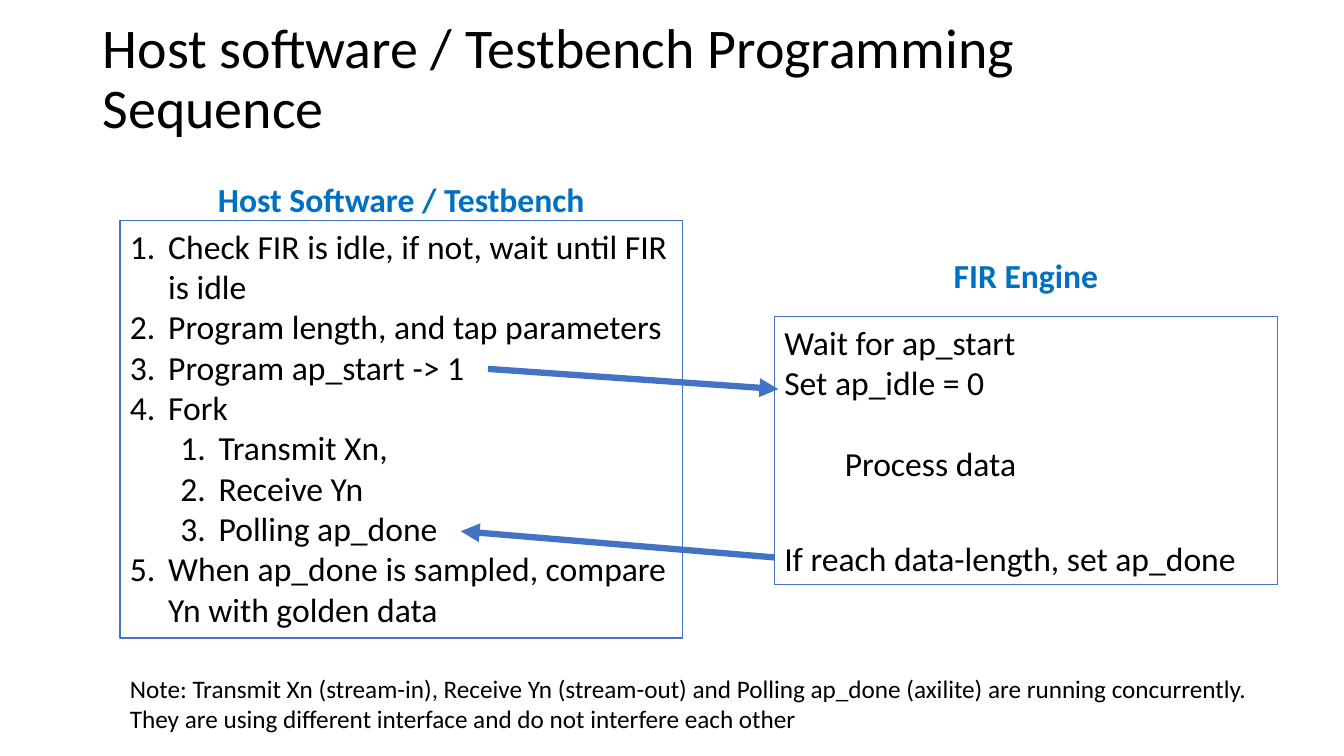
from dataclasses import dataclass

from lxml.etree import SubElement
from pptx import Presentation
from pptx.dml.color import RGBColor
from pptx.enum.shapes import MSO_CONNECTOR as Connector
from pptx.enum.shapes import MSO_SHAPE as Preset
from pptx.enum.text import MSO_ANCHOR as Anchor
from pptx.enum.text import PP_ALIGN as Align
from pptx.oxml.ns import qn
from pptx.util import Emu, Pt

PX = 9144
FONT = "Calibri"
BLACK = RGBColor(0x00, 0x00, 0x00)
WHITE = RGBColor(0xFF, 0xFF, 0xFF)
BLUE = RGBColor(0x44, 0x72, 0xC4)
HEADING_BLUE = RGBColor(0x00, 0x70, 0xC0)
LIST_INDENT = 38
LEVEL_STEP = 50


@dataclass(frozen=True)
class Line:
    text: str
    level: int = 0
    numbered: bool = False
    indent: int = 0
    space_before: float = 0


@dataclass(frozen=True)
class Block:
    left: int
    top: int
    width: int
    height: int
    lines: tuple[Line, ...]
    size: int = 24
    color: RGBColor = BLACK
    bold: bool = False
    align: Align = Align.LEFT
    anchor: Anchor = Anchor.TOP
    line_spacing: float = 1.0
    framed: bool = False


@dataclass(frozen=True)
class Arrow:
    start: tuple[int, int]
    end: tuple[int, int]


def px(length: int) -> Emu:
    return Emu(length * PX)


def heading(text: str, left: int, top: int, width: int) -> Block:
    return Block(left, top, width, 50, (Line(text),), color=HEADING_BLUE,
                 bold=True, align=Align.CENTER)


HOST_STEPS = (
    Line("Check FIR is idle, if not, wait until FIR is idle", numbered=True),
    Line("Program length, and tap parameters", numbered=True),
    Line("Program ap_start -> 1", numbered=True),
    Line("Fork", numbered=True),
    Line("Transmit Xn,", level=1, numbered=True),
    Line("Receive Yn", level=1, numbered=True),
    Line("Polling ap_done", level=1, numbered=True),
    Line("When ap_done is sampled, compare Yn with golden data", numbered=True),
)
ENGINE_STEPS = (
    Line("Wait for ap_start"),
    Line("Set ap_idle = 0"),
    Line("Process data", indent=60, space_before=29.3),
    Line("If reach data-length, set ap_done", space_before=39),
)
NOTE = (
    "Note: Transmit Xn (stream-in), Receive Yn (stream-out) and Polling ap_done "
    "(axilite) are running concurrently. They are using different interface and "
    "do not interfere each other"
)

BOXES = (
    Block(92, 40, 1150, 80, (Line("Host software / Testbench Programming Sequence"),),
          size=40, anchor=Anchor.MIDDLE, line_spacing=0.9),
    Block(119, 219, 558, 414, HOST_STEPS, framed=True),
    Block(768, 314, 499, 266, ENGINE_STEPS, framed=True),
)
ARROWS = (
    Arrow((484, 366), (772, 386)),
    Arrow((768, 553), (457, 527)),
)
LABELS = (
    heading("Host Software / Testbench", 119, 173, 558),
    heading("FIR Engine", 768, 248, 499),
    Block(119, 663, 1147, 71, (Line(NOTE),), size=18),
)


def draw_block(page, block: Block) -> None:
    bounds = [px(side) for side in (block.left, block.top, block.width, block.height)]
    if block.framed:
        box = page.shapes.add_shape(Preset.RECTANGLE, *bounds)
        box.shadow.inherit = False
        box.fill.solid()
        box.fill.fore_color.rgb = WHITE
        box.line.color.rgb = BLUE
        box.line.width = Pt(1)
    else:
        box = page.shapes.add_textbox(*bounds)
    frame = box.text_frame
    frame.word_wrap = True
    frame.vertical_anchor = block.anchor
    for index, line in enumerate(block.lines):
        para = frame.add_paragraph() if index else frame.paragraphs[0]
        write_line(para, line, block)


def write_line(para, line: Line, block: Block) -> None:
    para.alignment = block.align
    para.level = line.level
    para.line_spacing = block.line_spacing
    para.space_before = Pt(line.space_before)
    properties = para._p.get_or_add_pPr()
    if line.numbered:
        properties.set("marL", str(px(LIST_INDENT + LEVEL_STEP * line.level)))
        properties.set("indent", str(px(-LIST_INDENT)))
        SubElement(properties, qn("a:buAutoNum"), type="arabicPeriod")
    elif line.indent:
        properties.set("marL", str(px(line.indent)))
        properties.set("indent", "0")
    span = para.add_run()
    span.text = line.text
    span.font.name = FONT
    span.font.size = Pt(block.size)
    span.font.bold = block.bold
    span.font.color.rgb = block.color


def draw_arrow(page, arrow: Arrow) -> None:
    ends = [px(value) for value in (*arrow.start, *arrow.end)]
    connector = page.shapes.add_connector(Connector.STRAIGHT, *ends)
    connector.line.color.rgb = BLUE
    connector.line.width = Pt(4.5)
    SubElement(connector.line._get_or_add_ln(), qn("a:tailEnd"), type="triangle")
    SubElement(connector._element.spPr, qn("a:effectLst"))


def main() -> None:
    deck = Presentation()
    deck.slide_width = px(1333)
    deck.slide_height = px(750)
    page = deck.slides.add_slide(deck.slide_layouts[6])
    for block in BOXES:
        draw_block(page, block)
    for arrow in ARROWS:
        draw_arrow(page, arrow)
    for label in LABELS:
        draw_block(page, label)
    deck.save("out.pptx")


if __name__ == "__main__":
    main()
